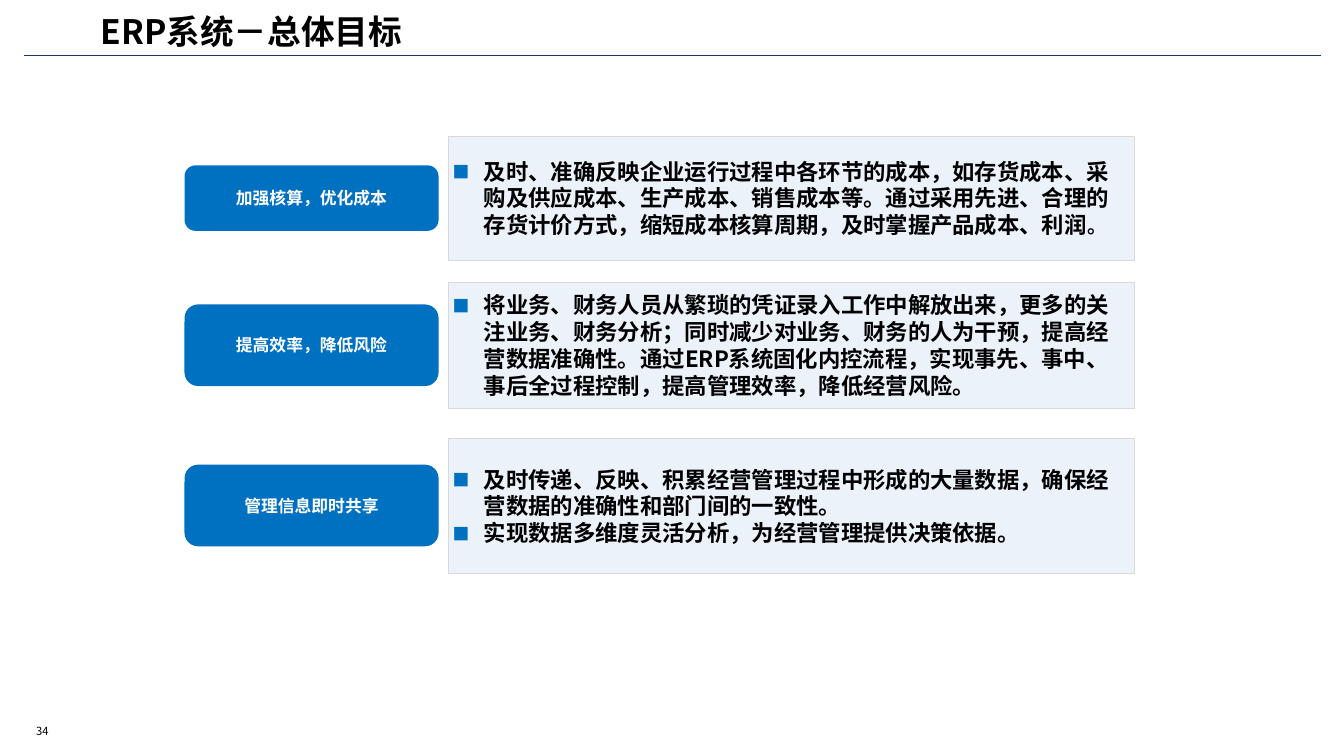
from dataclasses import dataclass

from lxml.etree import SubElement
from pptx import Presentation
from pptx.dml.color import RGBColor
from pptx.enum.shapes import MSO_CONNECTOR, MSO_SHAPE
from pptx.enum.text import MSO_ANCHOR, PP_ALIGN
from pptx.oxml.ns import qn
from pptx.util import Pt

PX = 9144


@dataclass(frozen=True)
class Theme:
    """Colours, font and type sizes of the slide."""
    font: str = "Noto Sans CJK SC"
    ink: str = "000000"
    white: str = "FFFFFF"
    rule: str = "17375E"
    accent: str = "0070C0"
    panel: str = "DDE8F7"
    border: str = "D9D9D9"
    title: int = 24
    body: int = 16
    stop: int = 14
    label: int = 12
    number: int = 8


T = Theme()

GOALS = [
    ("加强核算，优化成本", 65, 135, 123, [
        [("及时、准确反映企业运行过程中各环节的成本，如存货成本、采购及供应成本、生产成本、销售成本等。"
          "通过采用先进、合理的存货计价方式，缩短成本核算周期，及时掌握产品成本、利润", T.body),
         ("。", T.stop)]]),
    ("提高效率，降低风险", 81, 280, 125, [
        [("将业务、财务人员从繁琐的凭证录入工作中解放出来，更多的关注业务、财务分析；"
          "同时减少对业务、财务的人为干预，提高经营数据准确性。通过ERP系统固化内控流程，"
          "实现事先、事中、事后全过程控制，提高管理效率，降低经营风险。", T.body)]]),
    ("管理信息即时共享", 81, 435, 134, [
        [("及时传递、反映、积累经营管理过程中形成的大量数据，确保经营数据的准确性和部门间的一致性。", T.body)],
        [("实现数据多维度灵活分析，为经营管理提供决策依据。", T.body)]]),
]


def emu(*lengths):
    """Turn px lengths into EMU."""
    return [round(n * PX) for n in lengths]


def rgb(color):
    """Turn a hex string into a colour."""
    return RGBColor.from_string(color)


def add_run(p, text, size, color=T.ink, bold=True):
    """Add one styled run to a paragraph."""
    r = p.add_run()
    r.text = text
    r.font.size = Pt(size)
    r.font.bold = bold
    r.font.color.rgb = rgb(color)
    r.font.name = T.font
    SubElement(r.font._element, qn("a:ea"), typeface=T.font)


def add_bullet(p):
    """Give a paragraph a hanging square bullet."""
    pPr = p._p.get_or_add_pPr()
    indent = emu(31)[0]
    pPr.set("marL", str(indent))
    pPr.set("indent", str(-indent))
    color = SubElement(pPr, qn("a:buClr"))
    SubElement(color, qn("a:srgbClr"), val=T.accent)
    SubElement(pPr, qn("a:buSzPct"), val="75000")
    SubElement(pPr, qn("a:buFont"), typeface=T.font)
    SubElement(pPr, qn("a:buChar"), char="■")


def add_box(s, box, fill, margin_x, margin_y):
    """Add a filled rounded box with centred text height."""
    sp = s.shapes.add_shape(MSO_SHAPE.ROUNDED_RECTANGLE, *emu(*box))
    sp.shadow.inherit = False
    sp.fill.solid()
    sp.fill.fore_color.rgb = rgb(fill)
    sp.line.fill.background()
    tf = sp.text_frame
    tf.word_wrap = True
    tf.vertical_anchor = MSO_ANCHOR.MIDDLE
    tf.margin_left, tf.margin_right = emu(margin_x, margin_x)
    tf.margin_top, tf.margin_bottom = emu(margin_y, margin_y)
    return sp


def add_label(s, box, text):
    """Draw the blue name of a goal."""
    p = add_box(s, box, T.accent, 8, 8).text_frame.paragraphs[0]
    p.alignment = PP_ALIGN.CENTER
    p.space_after = Pt(3)
    add_run(p, text, T.label, T.white)


def add_panel(s, box, paragraphs):
    """Draw the pale panel with the bullets of a goal."""
    sp = add_box(s, box, T.panel, 4, 2)
    sp.adjustments[0] = 0
    color = sp.fill._xPr.find(qn("a:solidFill"))[0]
    SubElement(color, qn("a:alpha"), val="55000")
    sp.line.color.rgb = rgb(T.border)
    sp.line.width = Pt(0.25)
    tf = sp.text_frame
    for i, runs in enumerate(paragraphs):
        p = tf.add_paragraph() if i else tf.paragraphs[0]
        add_bullet(p)
        p.alignment = PP_ALIGN.LEFT
        p.line_spacing = 1.0
        for text, size in runs:
            add_run(p, text, size)


def add_goal(s, box, label, label_height, paragraphs):
    """Draw a goal: panel on the right, label centred beside it."""
    x, y, w, h = box
    label_width, gap = 252, 10
    panel_x = label_width + gap
    add_panel(s, (x + panel_x, y, w - panel_x, h), paragraphs)
    add_label(s, (x, y + (h - label_height) // 2, label_width, label_height), label)


def add_text(s, box, text, size, bold, anchor):
    """Draw a single line of text."""
    tf = s.shapes.add_textbox(*emu(*box)).text_frame
    tf.word_wrap = True
    tf.vertical_anchor = anchor
    add_run(tf.paragraphs[0], text, size, bold=bold)


def add_frame(s, box):
    """Draw the rule, the page number and the title."""
    x, y, w, h = box
    line = s.shapes.add_connector(MSO_CONNECTOR.STRAIGHT, *emu(x, y + 55, x + w, y + 55))
    line.line.color.rgb = rgb(T.rule)
    line.line.width = Pt(1)
    SubElement(line._element.spPr, qn("a:effectLst"))
    add_text(s, (x + 2, y + h - 37, 94, 24), "34", T.number, False, MSO_ANCHOR.MIDDLE)
    add_text(s, (x + 66, y + 6, 717, 50), "ERP系统－总体目标", T.title, True, MSO_ANCHOR.TOP)


def main():
    """Build and save the slide."""
    prs = Presentation()
    prs.slide_width, prs.slide_height = emu(1333, 750)
    s = prs.slides.add_slide(prs.slide_layouts[6])
    add_frame(s, (24, 0, 1286, 750))
    for label, label_height, top, height, paragraphs in GOALS:
        add_goal(s, (183, top, 942, height), label, label_height, paragraphs)
    prs.save("out.pptx")


if __name__ == "__main__":
    main()
